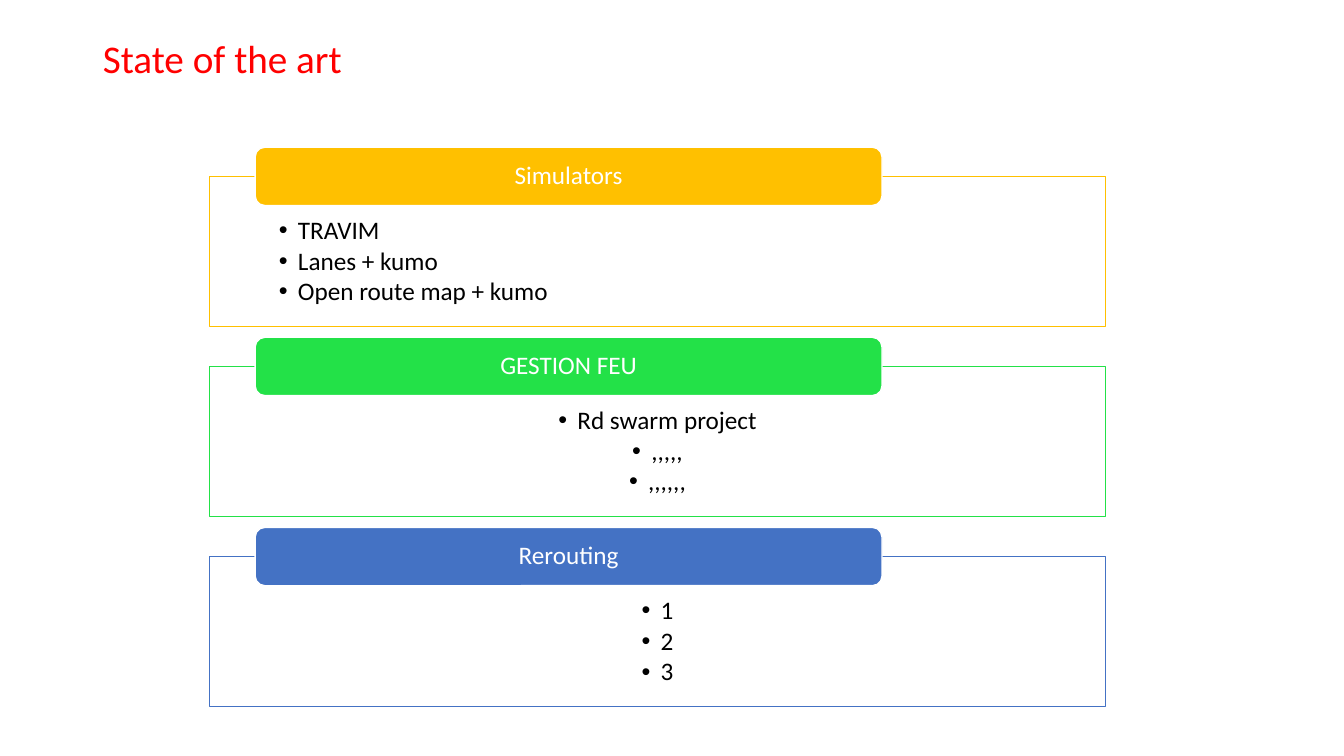
from lxml.etree import SubElement
from pptx import Presentation
from pptx.dml.color import RGBColor
from pptx.enum.shapes import MSO_SHAPE
from pptx.enum.text import MSO_ANCHOR, PP_ALIGN
from pptx.oxml.ns import qn
from pptx.util import Cm, Pt

BLACK, WHITE, RED = "000000", "FFFFFF", "FF0000"


def color(hex_value):
    return RGBColor.from_string(hex_value)


def add_bullet(paragraph, indent):
    properties = paragraph._p.get_or_add_pPr()
    properties.set("marL", str(indent))
    properties.set("indent", str(-indent))
    SubElement(properties, qn("a:buFont"), typeface="Arial")
    SubElement(properties, qn("a:buChar"), char="•")


def write(frame, lines, size=18, ink=BLACK, font="Calibri", align=PP_ALIGN.LEFT,
          anchor=MSO_ANCHOR.TOP, insets=(0.25, 0.13, 0.25, 0.13),
          space_after=0, bullet_indent=None):
    frame.word_wrap = True
    frame.vertical_anchor = anchor
    (frame.margin_left, frame.margin_top,
     frame.margin_right, frame.margin_bottom) = map(Cm, insets)
    for number, line in enumerate(lines):
        paragraph = frame.add_paragraph() if number else frame.paragraphs[0]
        paragraph.alignment = align
        paragraph.line_spacing = 0.9
        paragraph.space_before = Pt(0)
        paragraph.space_after = Pt(space_after)
        if bullet_indent:
            add_bullet(paragraph, Cm(bullet_indent))
        run = paragraph.add_run()
        run.text = line
        run.font.name, run.font.size = font, Pt(size)
        run.font.color.rgb = color(ink)


class SlideBuilder:
    def __init__(self, slide):
        self.slide = slide
        self.line_width = Pt(1)

    def title(self, text, left, top, width, height):
        heading = self.slide.shapes.title
        heading.left, heading.top = Cm(left), Cm(top)
        heading.width, heading.height = Cm(width), Cm(height)
        write(heading.text_frame, [text], size=28, ink=RED, anchor=MSO_ANCHOR.MIDDLE)

    def panel(self, preset, left, top, width, height, fill, line):
        panel = self.slide.shapes.add_shape(
            preset, Cm(left), Cm(top), Cm(width), Cm(height))
        panel.shadow.inherit = False
        panel.fill.solid()
        panel.fill.fore_color.rgb = color(fill)
        panel.line.color.rgb = color(line)
        panel.line.width = self.line_width
        return panel.text_frame

    def topic(self, top, name, items, accent, align):
        # Outlined box with the bullet list
        box = self.panel(MSO_SHAPE.RECTANGLE, 5.28, top, 22.58, 3.78, WHITE, accent)
        write(box, items, align=align, insets=(1.75, 1.04, 1.75, 0.36),
              space_after=2.4, bullet_indent=0.48)
        # Header overlapping the top edge of the box
        header = self.panel(MSO_SHAPE.ROUNDED_RECTANGLE, 6.43, top - 0.74,
                            15.8, 1.47, accent, WHITE)
        write(header, [name], ink=WHITE, align=PP_ALIGN.CENTER,
              anchor=MSO_ANCHOR.MIDDLE, insets=(0.69, 0, 0.69, 0))


presentation = Presentation()
presentation.slide_width, presentation.slide_height = Cm(33.87), Cm(19.05)
title_only = presentation.slide_layouts[5]
builder = SlideBuilder(presentation.slides.add_slide(title_only))

# Title
builder.title("State of the art", 2.34, 1.02, 29.2, 1.04)

# Topics, stacked at an equal pitch
TOPICS = [
    ("Simulators", ["TRAVIM", "Lanes + kumo", "Open route map + kumo"],
     "FFC000", PP_ALIGN.LEFT),
    ("GESTION FEU", ["Rd swarm project", ",,,,,", ",,,,,,"],
     "23E148", PP_ALIGN.CENTER),
    ("Rerouting", ["1", "2", "3"], "4472C4", PP_ALIGN.CENTER),
]
FIRST_TOP, PITCH = 4.45, 4.79
for position, (name, items, accent, align) in enumerate(TOPICS):
    builder.topic(FIRST_TOP + position * PITCH, name, items, accent, align)

presentation.save("out.pptx")
